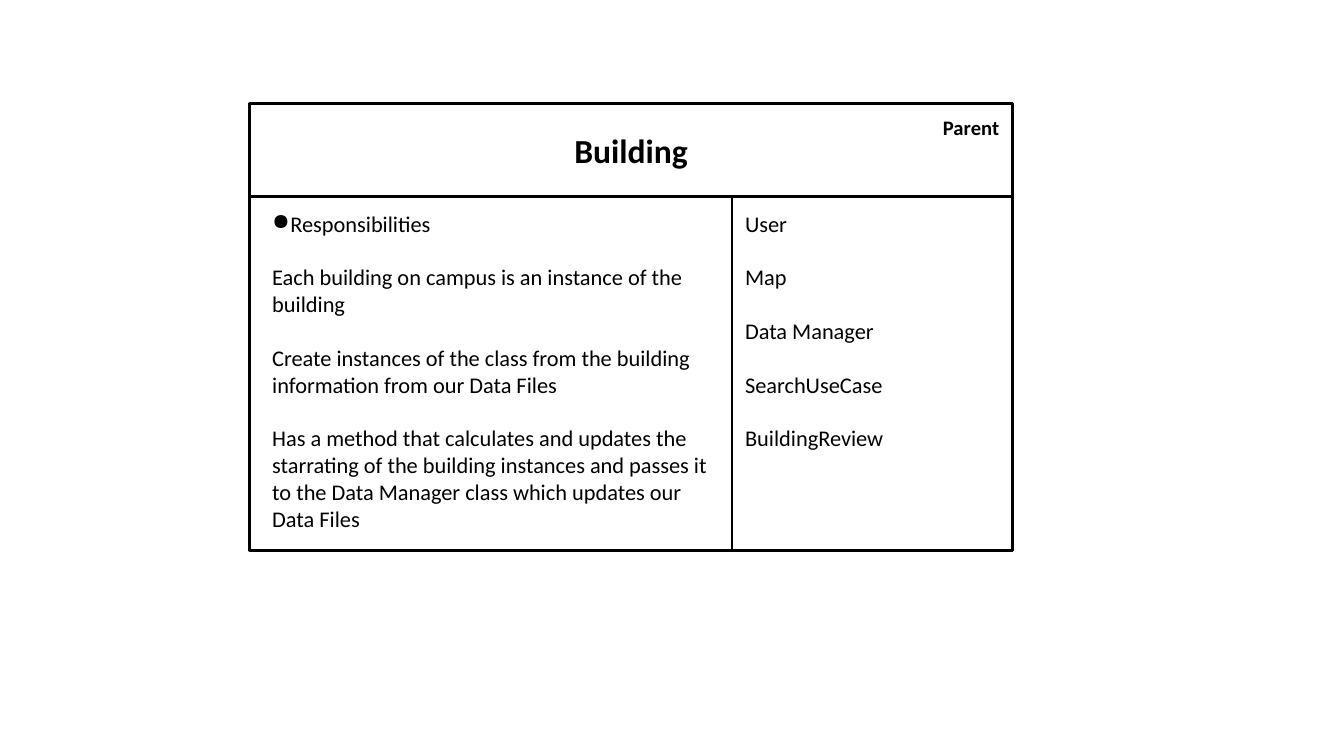
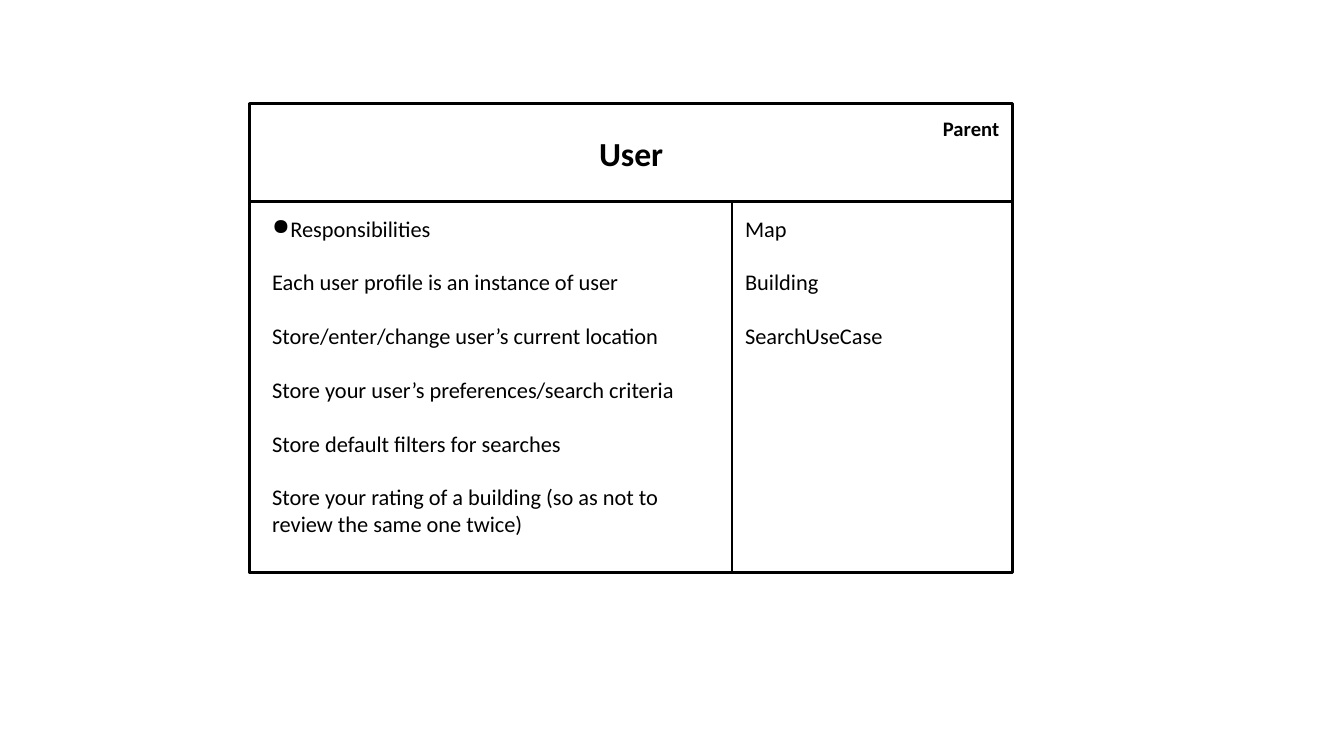
from lxml import etree
from pptx import Presentation
from pptx.dml.color import RGBColor
from pptx.enum import shapes, text
from pptx.oxml.ns import qn
from pptx.util import Inches, Pt

BLACK, WHITE = "000000", "FFFFFF"
FONT = "Calibri"
LEFT, TOP = 2.48, 1.03
DUTIES_WIDTH, PARTNERS_WIDTH = 4.78, 2.78
CARD_WIDTH = DUTIES_WIDTH + PARTNERS_WIDTH
BLANK_LINE = Pt(19.2)


def color(value):
    return RGBColor.from_string(value)


def add_box(card, left, top, width, height, lines=(), size=16, bold=False,
            align=text.PP_ALIGN.LEFT, anchor=text.MSO_ANCHOR.TOP, line_width=1.5):
    """Add one box of the card; without a line width it is a plain text box."""
    place = [Inches(value) for value in (left, top, width, height)]
    if line_width:
        shape = card.shapes.add_shape(shapes.MSO_SHAPE.RECTANGLE, *place)
        shape.shadow.inherit = False
        shape.fill.solid()
        shape.fill.fore_color.rgb = color(WHITE)
        shape.line.color.rgb = color(BLACK)
        shape.line.width = Pt(line_width)
    else:
        shape = card.shapes.add_textbox(*place)
    frame = shape.text_frame
    frame.word_wrap = True
    frame.vertical_anchor = anchor
    frame.margin_left = frame.margin_right = Inches(0.13)
    frame.margin_top = frame.margin_bottom = Inches(0.13)
    frame.text = "\n".join(lines)
    for number, paragraph in enumerate(frame.paragraphs):
        paragraph.alignment = align
        if number:
            paragraph.space_before = BLANK_LINE
        font = paragraph.font
        for run in paragraph.runs:
            font = run.font
            font.name, font.size, font.bold = FONT, Pt(size), bold
            font.color.rgb = color(BLACK)
    return shape


presentation = Presentation()
presentation.slide_width = Inches(13.33)
presentation.slide_height = Inches(7.5)

# Class name, header height, body height, responsibilities, collaborators
cards = [
    ("Building", 0.92, 3.51,
     ["Each building on campus is an instance of the building",
      "Create instances of the class from the building information from our Data Files",
      "Has a method that calculates and updates the starrating of the building "
      "instances and passes it to the Data Manager class which updates our Data Files"],
     ["User", "Map", "Data Manager", "SearchUseCase", "BuildingReview"]),
    ("User", 0.97, 3.68,
     ["Each user profile is an instance of user",
      "Store/enter/change user’s current location",
      "Store your user’s preferences/search criteria",
      "Store default filters for searches",
      "Store your rating of a building (so as not to review the same one twice)"],
     ["Map", "Building", "SearchUseCase"]),
]

for name, header_height, body_height, duties, partners in cards:
    slide = presentation.slides.add_slide(presentation.slide_layouts[6])
    card = slide.shapes.add_group_shape()
    body_top = TOP + header_height
    split = LEFT + DUTIES_WIDTH

    # Frame and header
    add_box(card, LEFT, TOP, CARD_WIDTH, header_height + body_height, line_width=2.25)
    add_box(card, LEFT, TOP, CARD_WIDTH, header_height, [name], 24, True,
            text.PP_ALIGN.CENTER, text.MSO_ANCHOR.MIDDLE)
    add_box(card, split, TOP, PARTNERS_WIDTH, header_height / 2 + 0.01, ["Parent"], 14.7,
            True, text.PP_ALIGN.RIGHT, text.MSO_ANCHOR.MIDDLE, line_width=0)

    # Responsibilities, with a bullet on the heading
    duties_box = add_box(card, LEFT, body_top, DUTIES_WIDTH, body_height,
                         ["Responsibilities"] + duties)
    heading, *entries = duties_box.text_frame.paragraphs
    for entry in entries:
        entry._p.get_or_add_pPr().set("marL", str(Inches(0.09)))
    properties = heading._p.get_or_add_pPr()
    properties.set("marL", str(Inches(0.27)))
    properties.set("indent", str(Inches(-0.18)))
    etree.SubElement(properties, qn("a:buChar")).set("char", "●")

    # Collaborators
    add_box(card, split, body_top, PARTNERS_WIDTH, body_height, partners)

presentation.save("out.pptx")
